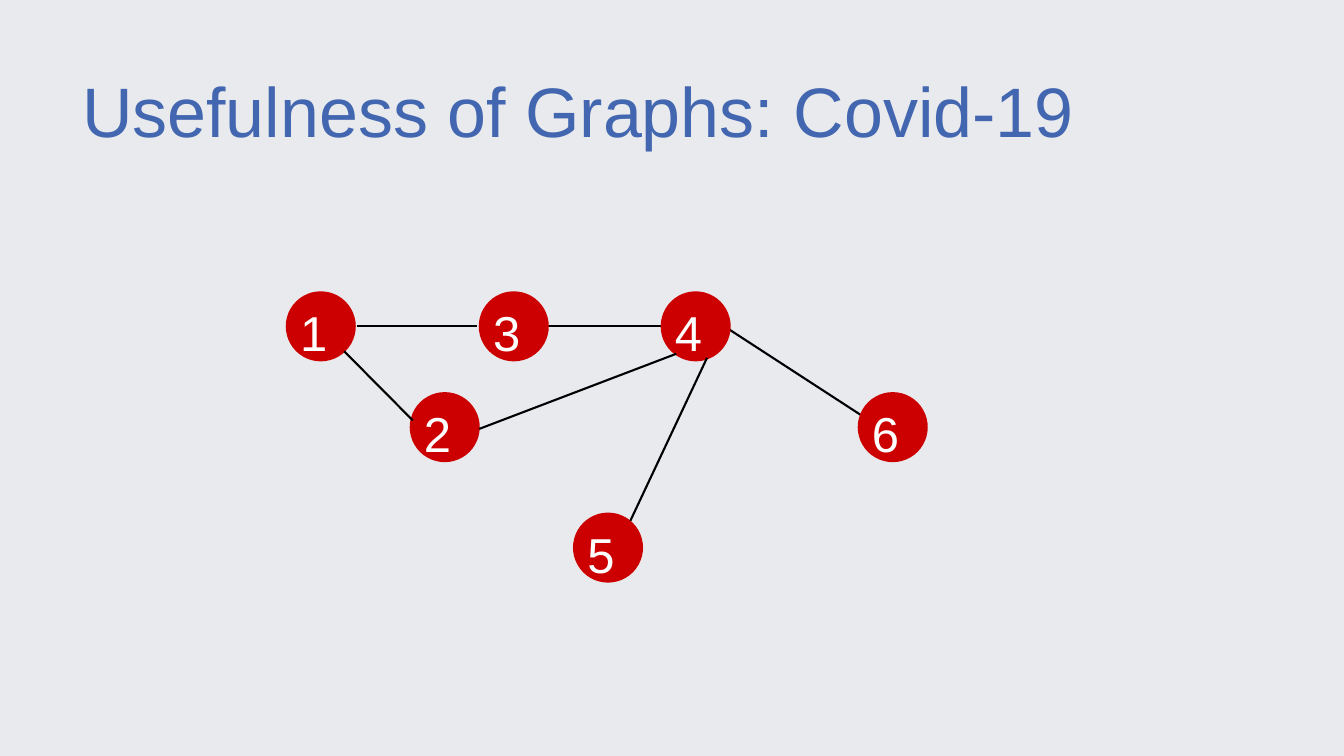
from typing import NamedTuple

from pptx import Presentation
from pptx.dml.color import RGBColor
from pptx.enum.shapes import MSO_CONNECTOR as Connector, MSO_SHAPE as Preset
from pptx.enum.text import MSO_ANCHOR as Anchor, MSO_AUTO_SIZE as AutoSize, PP_ALIGN as Align
from pptx.oxml.ns import qn
from pptx.slide import Slide
from pptx.text.text import TextFrame
from pptx.util import Inches, Pt

BACKGROUND = RGBColor(0xE9, 0xEA, 0xED)
TITLE_BLUE = RGBColor(0x42, 0x66, 0xB0)
NODE_RED = RGBColor(0xCC, 0x00, 0x00)
WHITE = RGBColor(0xFF, 0xFF, 0xFF)
BLACK = RGBColor(0x00, 0x00, 0x00)

COLUMNS, ROWS = 26.67, 15
CELL = Inches(1)
NODE_SIZE = 1.39
UPPER_ROW, MIDDLE_ROW, LOWER_ROW = 5.78, 7.78, 10.17
UPPER_CENTER = 6.47


class Node(NamedTuple):
    label: str
    column: float
    row: float


class Edge(NamedTuple):
    start: tuple[float, float]
    end: tuple[float, float]


NODES = [
    Node("1", 5.67, UPPER_ROW),
    Node("2", 8.13, MIDDLE_ROW),
    Node("3", 9.5, UPPER_ROW),
    Node("4", 13.11, UPPER_ROW),
    Node("5", 11.37, LOWER_ROW),
    Node("6", 17.02, MIDDLE_ROW),
]
EDGES_BEHIND = [
    Edge((14.29, 6.42), (17.23, 8.33)),
    Edge((10.87, UPPER_CENTER), (13.25, UPPER_CENTER)),
]
EDGES_IN_FRONT = [
    Edge((6.83, 6.97), (8.19, 8.34)),
    Edge((7.09, UPPER_CENTER), (9.47, UPPER_CENTER)),
    Edge((12.51, 10.33), (14.03, 7.1)),
    Edge((9.51, 8.51), (13.42, 7.02)),
]


def grid(cells: float) -> int:
    return round(cells * CELL)


def write_text(frame: TextFrame, text: str, *, size: float, color: RGBColor,
               spacing: float, anchor: Anchor, margin: float = 0) -> None:
    frame.auto_size = AutoSize.NONE
    frame.word_wrap = True
    frame.vertical_anchor = anchor
    frame.margin_left = frame.margin_right = grid(margin)
    frame.margin_top = frame.margin_bottom = grid(margin)
    paragraph = frame.paragraphs[0]
    paragraph.alignment = Align.LEFT
    paragraph.line_spacing = spacing
    run = paragraph.add_run()
    run.text = text
    run.font.name = "Arial"
    run.font.size = Pt(size)
    run.font.color.rgb = color


def draw_title(slide: Slide, text: str) -> None:
    title = slide.shapes.title
    title.left, title.top = grid(1.63), grid(1.59)
    title.width, title.height = grid(23.34), grid(1.4)
    write_text(title.text_frame, text, size=100, color=TITLE_BLUE,
               spacing=0.8, anchor=Anchor.BOTTOM)


def draw_node(slide: Slide, node: Node) -> None:
    shape = slide.shapes.add_shape(Preset.OVAL, grid(node.column), grid(node.row),
                                   grid(NODE_SIZE), grid(NODE_SIZE))
    shape.shadow.inherit = False
    shape.fill.solid()
    shape.fill.fore_color.rgb = NODE_RED
    shape.line.fill.background()
    write_text(shape.text_frame, node.label, size=70, color=WHITE,
               spacing=1.2, anchor=Anchor.MIDDLE, margin=0.08)


def draw_edge(slide: Slide, edge: Edge) -> None:
    connector = slide.shapes.add_connector(
        Connector.STRAIGHT, *map(grid, edge.start), *map(grid, edge.end))
    connector.line.color.rgb = BLACK
    connector.line.width = Pt(3)
    properties = connector._element.spPr
    properties.append(properties.makeelement(qn("a:effectLst"), {}))


def main() -> None:
    presentation = Presentation()
    presentation.slide_width = grid(COLUMNS)
    presentation.slide_height = grid(ROWS)
    slide = presentation.slides.add_slide(presentation.slide_layouts[5])
    slide.background.fill.solid()
    slide.background.fill.fore_color.rgb = BACKGROUND

    draw_title(slide, "Usefulness of Graphs: Covid-19")
    for edge in EDGES_BEHIND:
        draw_edge(slide, edge)
    for node in NODES:
        draw_node(slide, node)
    for edge in EDGES_IN_FRONT:
        draw_edge(slide, edge)
    presentation.save("out.pptx")


if __name__ == "__main__":
    main()
